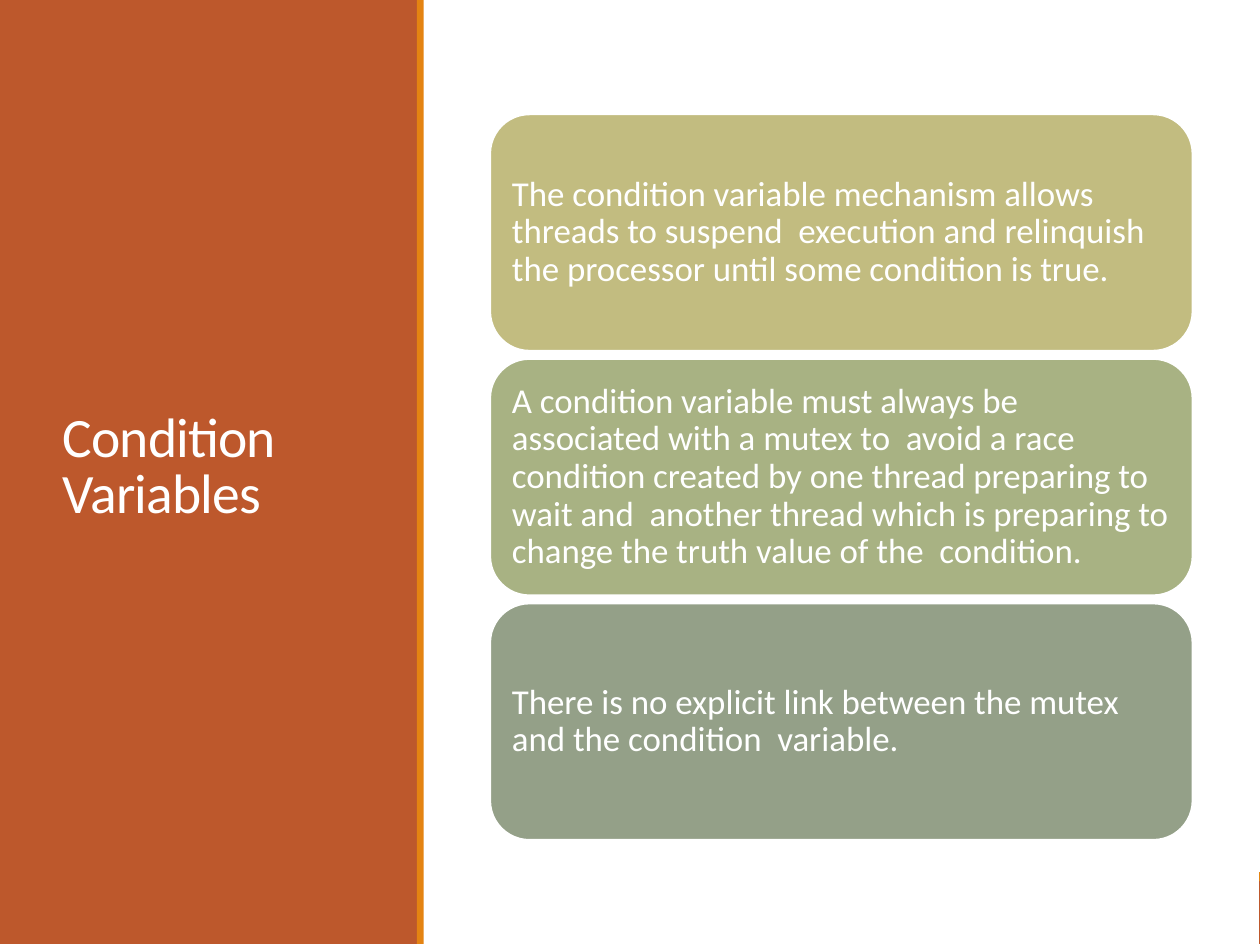
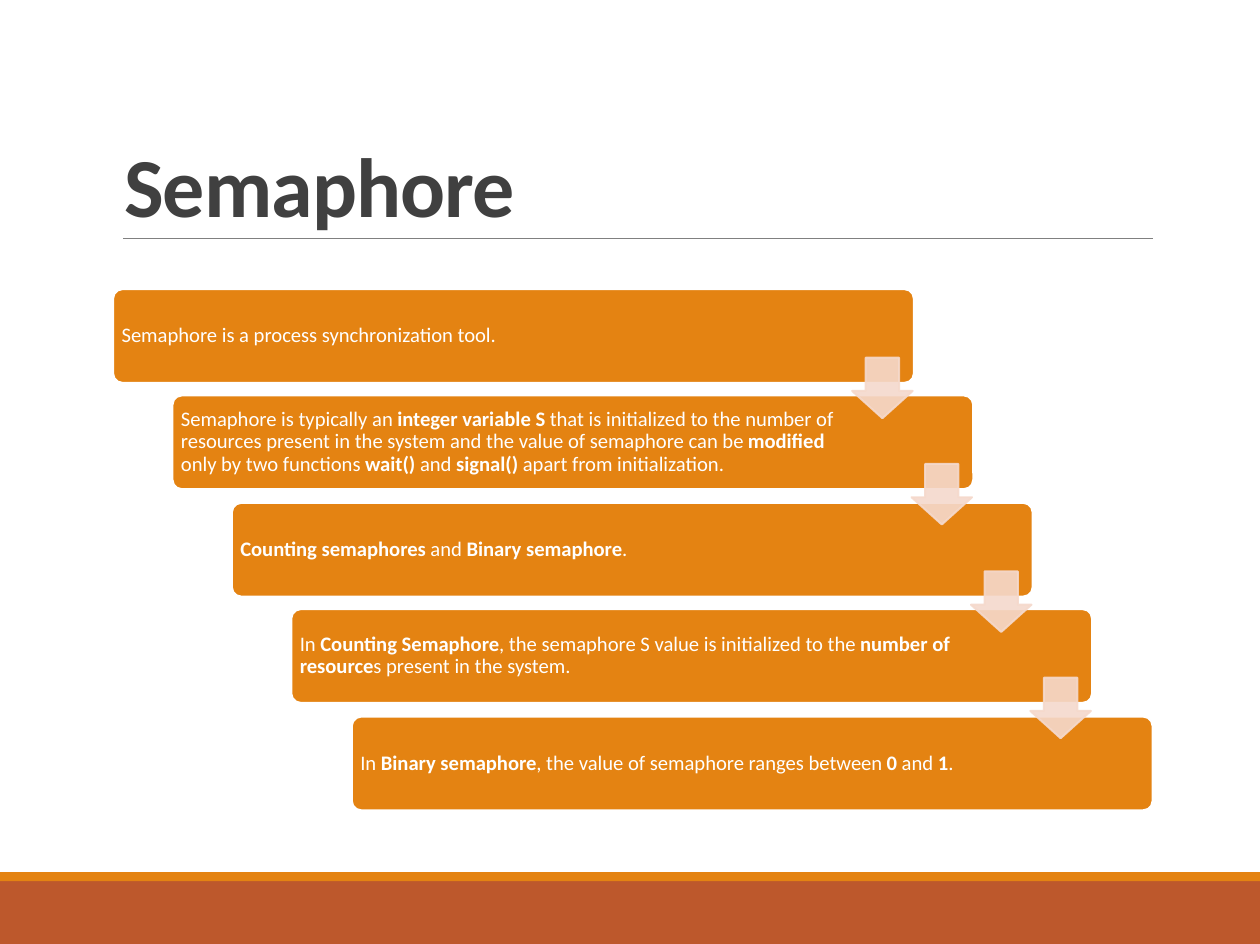
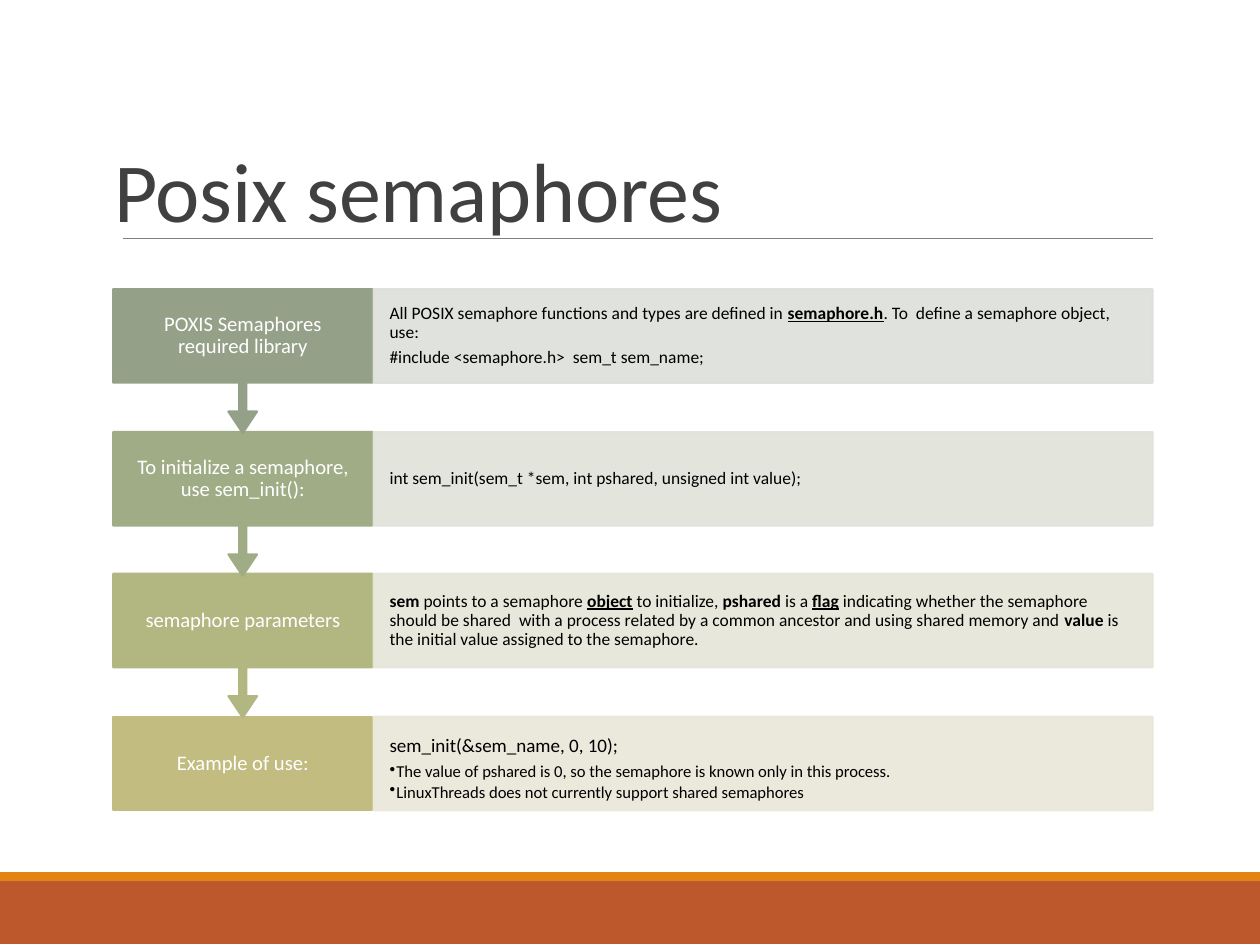
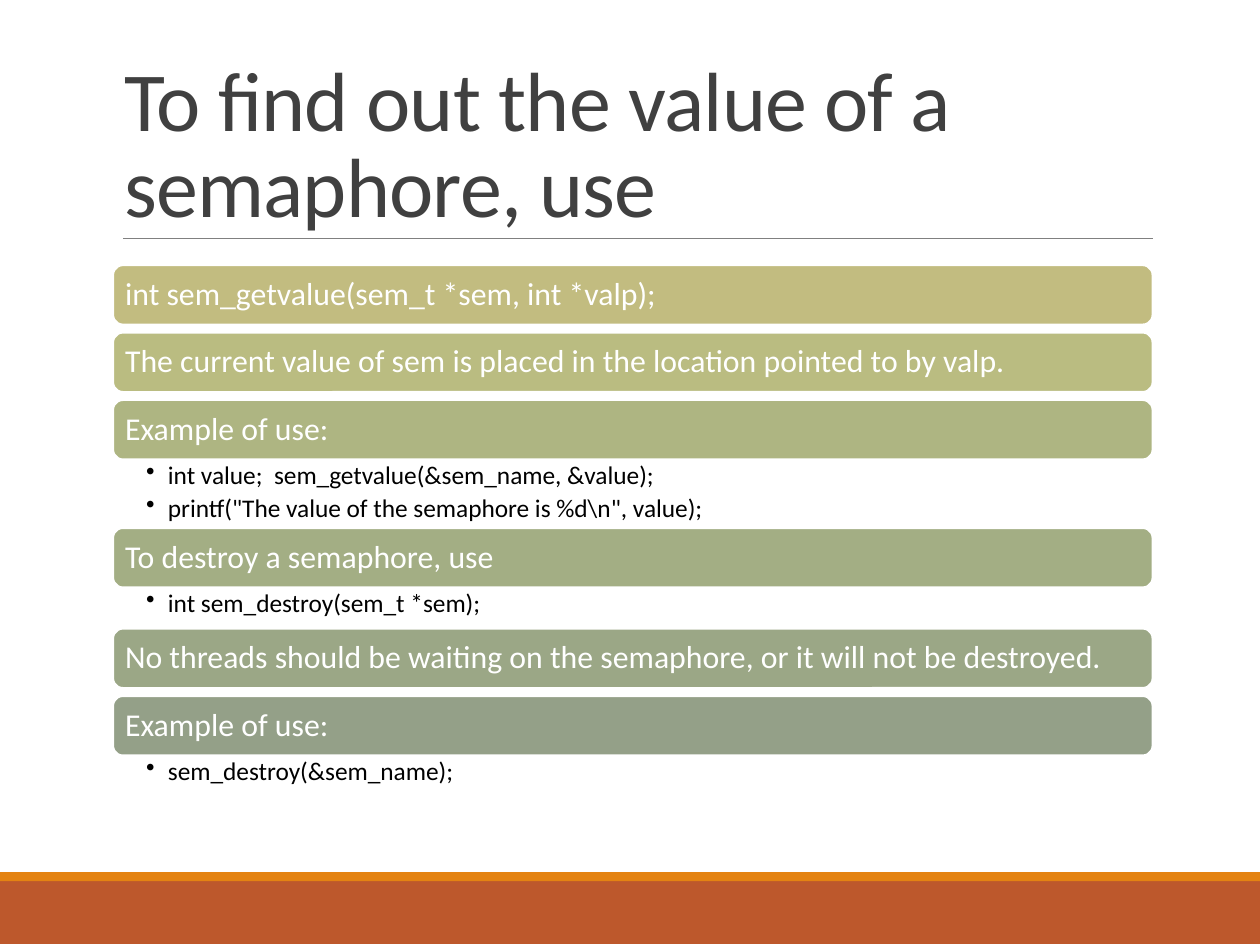
from dataclasses import dataclass

from lxml import etree
from pptx import Presentation
from pptx.dml.color import RGBColor
from pptx.enum.shapes import MSO_CONNECTOR, MSO_SHAPE
from pptx.enum.text import MSO_ANCHOR, PP_ALIGN
from pptx.oxml.ns import qn
from pptx.util import Pt

PX = 9144  # EMU per px, 100 px to the inch
WIDTH, HEIGHT = 1103, 826
LEFT, BODY_WIDTH = 99, 910

RECT = MSO_SHAPE.RECTANGLE
ROUND = MSO_SHAPE.ROUNDED_RECTANGLE
DOWN_ARROW = MSO_SHAPE.DOWN_ARROW
CALLOUT = MSO_SHAPE.DOWN_ARROW_CALLOUT
STRAIGHT = MSO_CONNECTOR.STRAIGHT
TOP, MIDDLE, BOTTOM = MSO_ANCHOR.TOP, MSO_ANCHOR.MIDDLE, MSO_ANCHOR.BOTTOM
ALIGN_LEFT, ALIGN_CENTER = PP_ALIGN.LEFT, PP_ALIGN.CENTER


@dataclass(frozen=True)
class Theme:
    font: str = "Calibri"
    white: str = "FFFFFF"
    black: str = "000000"
    title: str = "404040"
    rule: str = "808080"
    rust: str = "BD582C"
    orange: str = "E48312"
    arrow: str = "F5D9CC"
    sand: str = "C2BC80"
    sage: str = "94A088"
    title_size: float = 52.9
    side_title_size: float = 35
    card_size: float = 22
    bar_size: float = 20
    code_size: float = 16
    step_size: float = 13
    lead_size: float = 12
    detail_size: float = 11
    note_size: float = 10.5


T = Theme()


def emu(*lengths):
    return [n * PX for n in lengths]


def set_alpha(fill, percent):
    color = fill._xPr.find(qn("a:solidFill"))[0]
    etree.SubElement(color, qn("a:alpha")).set("val", str(percent * 1000))


def write(shape, paras=(), bullets=(), size=12, bullet_size=None, color=T.white, bold=False,
          anchor=MIDDLE, align=ALIGN_LEFT, insets=(10, 5, 10, 5), leading=0.9,
          after=0.35, bullet_after=0.2, indent=0, tracking=0):
    """Fill a shape with paragraphs, then bullets.

    A paragraph is a string or a list of runs; a run is a string or (text, "b" or "bu").
    Space after is a share of the type size; tracking is in points.
    """
    tf = shape.text_frame
    tf.word_wrap = True
    tf.vertical_anchor = anchor
    tf.margin_left, tf.margin_top, tf.margin_right, tf.margin_bottom = emu(*insets)
    items = [(para, False) for para in paras] + [(para, True) for para in bullets]
    for i, (para, is_bullet) in enumerate(items):
        p = tf.add_paragraph() if i else tf.paragraphs[0]
        p_size = (bullet_size or size) if is_bullet else size
        if is_bullet:
            pPr = p._p.get_or_add_pPr()
            pPr.set("marL", str(indent * PX))
            pPr.set("indent", str(-indent * PX))
            etree.SubElement(pPr, qn("a:buChar")).set("char", "•")
            p.level = 1
        p.alignment = align
        p.line_spacing = leading
        p.space_after = Pt(p_size * (bullet_after if is_bullet else after))
        for run in [para] if isinstance(para, str) else para:
            text, marks = (run, "") if isinstance(run, str) else run
            r = p.add_run()
            r.text = text
            r.font.name = T.font
            r.font.size = Pt(p_size)
            r.font.color.rgb = RGBColor.from_string(color)
            r.font.bold = bold or "b" in marks
            if "u" in marks:
                r.font.underline = True
            if tracking:
                r._r.get_or_add_rPr().set("spc", str(round(tracking * 100)))


class Deck:
    def __init__(self):
        self.prs = Presentation()
        self.prs.slide_width, self.prs.slide_height = emu(WIDTH, HEIGHT)
        self.s = None

    def new_slide(self):
        self.s = self.prs.slides.add_slide(self.prs.slide_layouts[6])
        self.shape(0, 771, WIDTH, 55, T.rust)
        self.shape(0, 763, WIDTH, 8, T.orange)

    def shape(self, x, y, w, h, fill, kind=RECT, line=None, adj=(), alpha=None):
        sp = self.s.shapes.add_shape(kind, *emu(x, y, w, h))
        sp.shadow.inherit = False
        for i, value in enumerate(adj):
            sp.adjustments[i] = value
        sp.fill.solid()
        sp.fill.fore_color.rgb = RGBColor.from_string(fill)
        if line:
            sp.line.color.rgb = RGBColor.from_string(line)
            sp.line.width = Pt(1.25)
        else:
            sp.line.fill.background()
        if alpha:
            set_alpha(sp.fill, alpha)
            set_alpha(sp.line.fill, alpha)
        return sp

    def text(self, x, y, w, h, paras=(), **fmt):
        write(self.s.shapes.add_textbox(*emu(x, y, w, h)), paras, **fmt)

    def content_slide(self, title, **fmt):
        """Start a slide with a large title above a thin rule."""
        self.new_slide()
        rule = self.s.shapes.add_connector(STRAIGHT, *emu(108, 209, 1009, 209))
        rule.line.color.rgb = RGBColor.from_string(T.rule)
        rule.line.width = Pt(0.5)
        etree.SubElement(rule._element.spPr, qn("a:effectLst"))
        style = dict(size=T.title_size, color=T.title, anchor=BOTTOM, leading=0.85, after=0,
                     tracking=-0.5)
        self.text(LEFT, 35, BODY_WIDTH, 175, [title], **{**style, **fmt})

    def side_title_slide(self, title):
        """Start a slide with its title in a tall panel on the left."""
        self.new_slide()
        self.shape(0, 0, WIDTH - 1, HEIGHT, T.white)
        self.shape(0, 0, 366, HEIGHT, T.rust)
        self.text(45, 62, 279, 696, [title], size=T.side_title_size, leading=0.85, after=0,
                  tracking=-0.5)
        self.shape(365, 0, 6, HEIGHT, T.orange)

    def card(self, y, text, fill):
        sp = self.shape(429, y, 615, 207, fill, ROUND, T.white)
        write(sp, [text], size=T.card_size, insets=(9, 5, 9, 5))

    def stair(self, x, y, runs, right_inset):
        sp = self.shape(x, y, 701, 82, T.orange, ROUND, T.white, adj=[0.1])
        write(sp, [runs], size=T.step_size, insets=(5, 5, right_inset, 5))

    def stair_arrow(self, x, y):
        self.shape(x, y, 53, 53, T.arrow, DOWN_ARROW, T.arrow, adj=[0.55, 0.45], alpha=90)

    def process_row(self, y, label, fill, tint, is_last, detail):
        if is_last:
            sp = self.shape(LEFT, y, 227, 82, fill, line=fill)
        else:
            sp = self.shape(LEFT, y, 227, 126, fill, CALLOUT, fill, adj=[0.05, 0.1, 0.15, 0.65])
        write(sp, [label], size=T.step_size, align=ALIGN_CENTER, insets=(16, 10, 16, 10))
        sp = self.shape(327, y, 682, 82, tint, line=tint, alpha=90)
        style = dict(size=T.detail_size, color=T.black, insets=(14, 10, 14, 10))
        write(sp, **{**style, **detail})

    def bar(self, y, text, fill):
        sp = self.shape(LEFT, y, BODY_WIDTH, 52, fill, ROUND, T.white)
        write(sp, [text], size=T.bar_size, insets=(8, 4, 8, 4))

    def code_bullets(self, y, h, lines):
        self.text(LEFT, y, BODY_WIDTH, h, bullets=lines, size=T.code_size, color=T.black,
                  anchor=TOP, insets=(29, 3, 16, 3), indent=19)


def condition_variables(deck):
    deck.side_title_slide("Condition Variables")
    cards = [
        ("The condition variable mechanism allows threads to suspend  execution and relinquish "
         "the processor until some condition is true.", T.sand),
        ("A condition variable must always be associated with a mutex to  avoid a race condition "
         "created by one thread preparing to wait and  another thread which is preparing to "
         "change the truth value of the  condition.", "A8B283"),
        ("There is no explicit link between the mutex and the condition  variable.", T.sage),
    ]
    for i, (text, fill) in enumerate(cards):
        deck.card(100 + 214 * i, text, fill)


def semaphore(deck):
    deck.content_slide("Semaphore", bold=True, tracking=-0.6)
    stairs = [
        ["Semaphore is a process synchronization tool."],
        ["Semaphore is typically an ", ("integer variable S", "b"),
         " that is initialized to the number of resources present in the system and the value "
         "of semaphore can be ", ("modified", "b"), " only by two functions ",
         ("wait()", "b"), " and ", ("signal()", "b"), " apart from initialization."],
        [("Counting semaphores", "b"), " and ", ("Binary semaphore", "b"), "."],
        ["In ", ("Counting Semaphore", "b"),
         ", the semaphore S value is initialized to the ", ("number of resource", "b"),
         "s present in the system."],
        ["In ", ("Binary semaphore", "b"), ", the value of semaphore ranges between ",
         ("0", "b"), " and ", ("1", "b"), "."],
    ]
    last = len(stairs) - 1
    corners = [(LEFT + 209 * i // last, 253 + 374 * i // last) for i in range(len(stairs))]
    for i, ((x, y), runs) in enumerate(zip(corners, stairs)):
        deck.stair(x, y, runs, right_inset=111 if i else 99)
    for x, y in corners[:-1]:
        deck.stair_arrow(x + 647, y + 60)


def posix_semaphores(deck):
    deck.content_slide("Posix semaphores", tracking=-0.1, insets=(1, 1, 0, 0))
    rows = [
        ("POXIS Semaphores required library", T.sage, "DCDFDA", dict(paras=[
            ["All POSIX semaphore functions and types are defined in ", ("semaphore.h", "bu"),
             ". To  define a semaphore object, use:"],
            "#include <semaphore.h>  sem_t sem_name;"])),
        ("To initialize a semaphore, use sem_init():", "A0AC85", "E0E3D9", dict(paras=[
            "int sem_init(sem_t *sem, int pshared, unsigned int value);"])),
        ("semaphore parameters", "B2B782", "E5E6D8", dict(paras=[
            [("sem", "b"), " points to a semaphore ", ("object", "bu"), " to initialize, ",
             ("pshared", "b"), " is a ", ("flag", "bu"),
             " indicating whether the semaphore should be shared  with a process related by a "
             "common ancestor and using shared memory and ", ("value", "b"),
             " is the initial value assigned to the semaphore."]])),
        ("Example of use:", T.sand, "E9E7D8", dict(
            paras=["sem_init(&sem_name, 0, 10);"],
            bullets=["The value of pshared is 0, so the semaphore is known only in this process.",
                     "LinuxThreads does not currently support shared semaphores"],
            size=T.lead_size, bullet_size=T.note_size, bullet_after=0.15, indent=6,
            anchor=TOP, insets=(14, 17, 14, 5))),
    ]
    last = len(rows) - 1
    # Bottom row first, so that each arrow tip lies over the row below it.
    for i in range(last, -1, -1):
        label, fill, tint, detail = rows[i]
        deck.process_row(253 + round(374 * i / last), label, fill, tint, i == last, detail)


def semaphore_value(deck):
    deck.content_slide("To find out the value of a semaphore, use")
    bars = [
        ("int sem_getvalue(sem_t *sem, int *valp);", T.sand, []),
        ("The current value of sem is placed in the location pointed to by valp.", "BABC81", []),
        ("Example of use:", "AEB582",
         ["int value;  sem_getvalue(&sem_name, &value);",
          'printf("The value of the semaphore is %d\\n", value);']),
        ("To destroy a semaphore, use", "A3AE84", ["int sem_destroy(sem_t *sem);"]),
        ("No threads should be waiting on the semaphore, or it will not be destroyed.",
         "9BA786", []),
        ("Example of use:", T.sage, ["sem_destroy(&sem_name);"]),
    ]
    y = 232
    for text, fill, lines in bars:
        deck.bar(y, text, fill)
        y += 52
        gap = 12 + 24 * len(lines) if lines else 7
        if lines:
            deck.code_bullets(y, gap, lines)
        y += gap


def main():
    deck = Deck()
    condition_variables(deck)
    semaphore(deck)
    posix_semaphores(deck)
    semaphore_value(deck)
    deck.prs.save("out.pptx")


if __name__ == "__main__":
    main()
